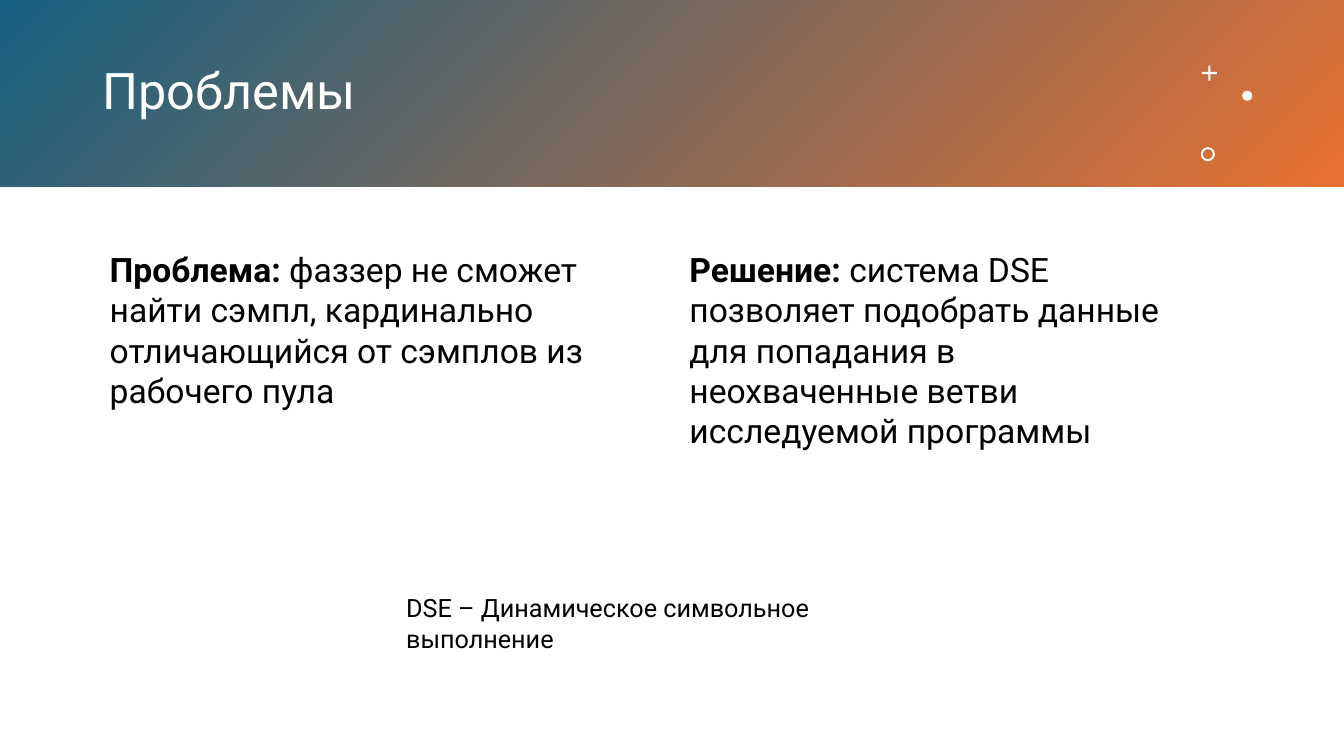
from pptx import Presentation
from pptx import util as u
from pptx.dml.color import RGBColor
from pptx.enum import shapes, text

FONT = "Roboto"
WHITE, BLACK = "FFFFFF", "000000"
BLUE, ORANGE = "156082", "E97132"


def colour(code):
    return RGBColor.from_string(code)


def place(*lengths):
    return [u.Inches(length) for length in lengths]


def add_band(page, area, start, end):
    """Rectangle with a diagonal gradient."""
    band = page.shapes.add_shape(shapes.MSO_SHAPE.RECTANGLE, *place(*area))
    band.shadow.inherit = False
    band.line.fill.background()
    band.fill.gradient()
    band.fill.gradient_angle = 315
    for stop, position, code in zip(band.fill.gradient_stops, (0, 1), (start, end)):
        stop.position = position
        stop.color.rgb = colour(code)


def add_mark(page, kind, area, adjustment=None):
    """Small white ornament."""
    mark = page.shapes.add_shape(kind, *place(*area))
    mark.shadow.inherit = False
    mark.fill.solid()
    mark.fill.fore_color.rgb = colour(WHITE)
    mark.line.fill.background()
    if adjustment is not None:
        mark.adjustments[0] = adjustment


def add_text(page, area, spans, size, code=BLACK, frame_format=None, para_format=None):
    """Text box with one paragraph; spans are (words, bold) pairs."""
    box = page.shapes.add_textbox(*place(*area))
    frame = box.text_frame
    para = frame.paragraphs[0]
    for name, value in {"word_wrap": True, **(frame_format or {})}.items():
        setattr(frame, name, value)
    for name, value in (para_format or {}).items():
        setattr(para, name, value)
    for words, bold in spans:
        span = para.add_run()
        span.text = words
        span.font.color.rgb = colour(code)
        for name, value in {"name": FONT, "size": u.Pt(size), "bold": bold}.items():
            setattr(span.font, name, value)


def main():
    deck = Presentation()
    deck.slide_width, deck.slide_height = place(13.33, 7.5)
    page = deck.slides.add_slide(deck.slide_layouts[6])

    # Header
    add_band(page, (0, 0, 13.33, 1.85), BLUE, ORANGE)
    add_text(page, (0.92, 0.33, 10.75, 1.19), [("Проблемы", False)], 36, WHITE,
             {"vertical_anchor": text.MSO_ANCHOR.MIDDLE}, {"line_spacing": 0.9})

    # Ornaments
    add_mark(page, shapes.MSO_SHAPE.CROSS, (11.92, 0.65, 0.15, 0.15), 0.43)
    add_mark(page, shapes.MSO_SHAPE.OVAL, (12.32, 0.9, 0.1, 0.1))
    add_mark(page, shapes.MSO_SHAPE.DONUT, (11.91, 1.46, 0.14, 0.14), 0.14)

    # Problem and solution
    add_text(page, (0.99, 2.42, 5.6, 4.34),
             [("Проблема: ", True),
              ("фаззер не сможет найти сэмпл, кардинально отличающийся "
               "от сэмплов из рабочего пула", False)], 24)
    add_text(page, (6.74, 2.42, 5.16, 4.34),
             [("Решение: ", True),
              ("система DSE позволяет подобрать данные для попадания "
               "в неохваченные ветви исследуемой программы", False)], 24,
             para_format={"space_after": u.Pt(6)})

    # Abbreviation
    add_text(page, (3.93, 5.83, 5.47, 0.4),
             [("DSE – Динамическое символьное выполнение", False)], 18)

    deck.save("out.pptx")


if __name__ == "__main__":
    main()
